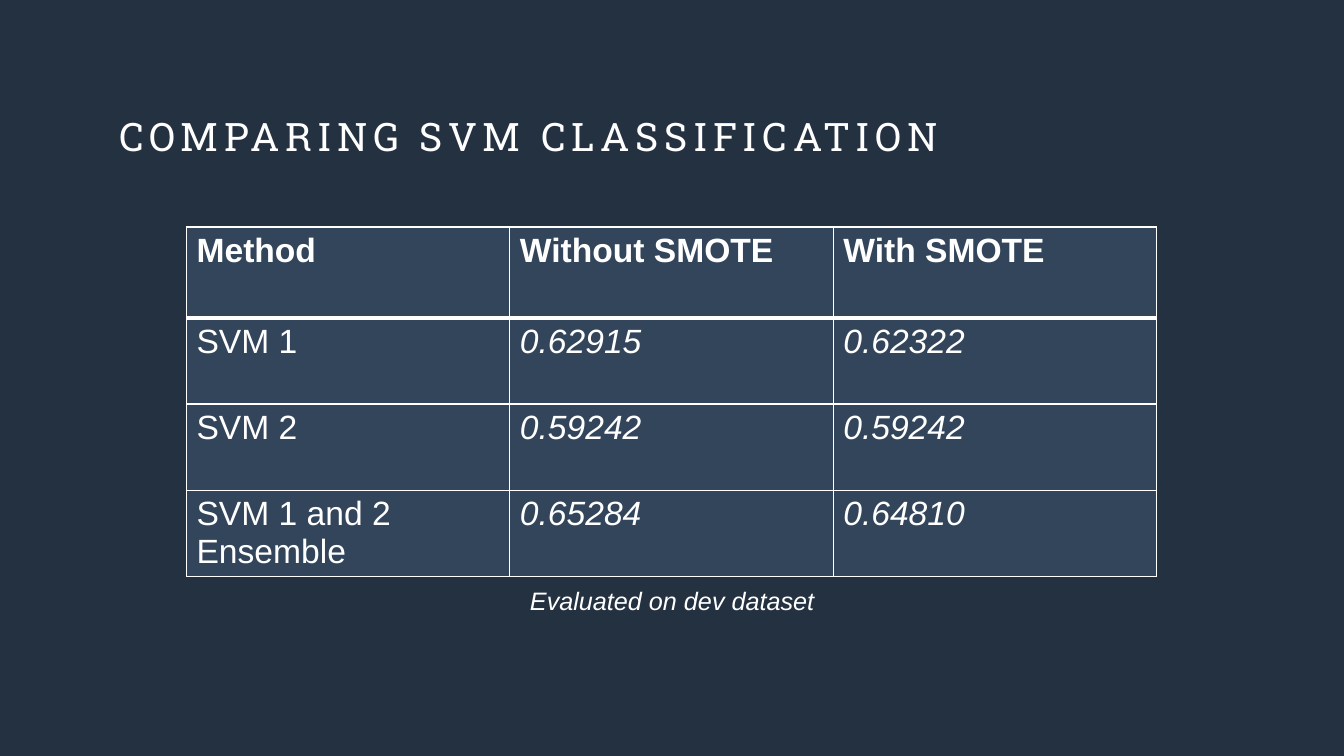
from dataclasses import dataclass

from lxml import etree
from pptx import Presentation
from pptx import util as u
from pptx.dml.color import RGBColor
from pptx.enum import text
from pptx.oxml import ns

BACKGROUND = "243141"
CELL_FILL = "33455B"
WHITE = "FFFFFF"
THIN, THICK = u.Pt(1), u.Pt(3)

ROWS = [
    ("Method", "Without SMOTE", "With SMOTE"),
    ("SVM 1", "0.62915", "0.62322"),
    ("SVM 2", "0.59242", "0.59242"),
    ("SVM 1 and 2 Ensemble", "0.65284", "0.64810"),
]
COLUMN_WIDTH = u.Cm(8.15)
HEADER_HEIGHT, BODY_HEIGHT = u.Cm(2.29), u.Cm(2.17)


@dataclass(frozen=True)
class Style:
    font: str
    size: int
    bold: bool = False
    italic: bool = False
    spacing: int = 0  # hundredths of a point
    align: text.PP_ALIGN = text.PP_ALIGN.LEFT


@dataclass(frozen=True)
class Label:
    words: str
    left: float
    top: float
    width: float
    height: float
    style: Style
    inset: bool = True


LABELS = [
    Label("COMPARING SVM CLASSIFICATION", 3, 2.82, 27.86, 1.83,
          Style("Roboto Slab", 28, spacing=400), inset=False),
    Label("Evaluated on dev dataset", 7.29, 14.63, 19.3, 1.02,
          Style("Arial", 18, italic=True, align=text.PP_ALIGN.CENTER)),
]


def color(value: str) -> RGBColor:
    return RGBColor.from_string(value)


def write(frame, words: str, style: Style) -> None:
    paragraph = frame.paragraphs[0]
    run = paragraph.add_run()
    run.text = words
    paragraph.alignment = style.align
    font = paragraph.font
    font.name, font.size = style.font, u.Pt(style.size)
    font.bold, font.italic = style.bold, style.italic
    font.color.rgb = color(WHITE)
    if style.spacing:
        run.font._element.set("spc", str(style.spacing))


def add_label(slide, label: Label) -> None:
    box = slide.shapes.add_textbox(
        u.Cm(label.left), u.Cm(label.top), u.Cm(label.width), u.Cm(label.height))
    frame = box.text_frame
    frame.word_wrap = True
    if not label.inset:
        frame.margin_left = frame.margin_right = 0
        frame.margin_top = frame.margin_bottom = 0
    write(frame, label.words, label.style)


def add_border(cell, side: str, width: int) -> None:
    properties = cell._tc.get_or_add_tcPr()
    line = etree.SubElement(properties, ns.qn(f"a:ln{side}"), w=str(width))
    fill = etree.SubElement(line, ns.qn("a:solidFill"))
    etree.SubElement(fill, ns.qn("a:srgbClr"), val=WHITE)


def add_score_table(slide) -> None:
    columns = len(ROWS[0])
    height = HEADER_HEIGHT + BODY_HEIGHT * (len(ROWS) - 1)
    table = slide.shapes.add_table(
        len(ROWS), columns, u.Cm(4.7), u.Cm(5.72), COLUMN_WIDTH * columns, height).table
    for column in table.columns:
        column.width = COLUMN_WIDTH
    for row_index, words in enumerate(ROWS):
        header = row_index == 0
        table.rows[row_index].height = HEADER_HEIGHT if header else BODY_HEIGHT
        borders = {"L": THIN, "R": THIN,
                   "T": THICK if row_index == 1 else THIN,
                   "B": THICK if header else THIN}
        for column_index, value in enumerate(words):
            cell = table.cell(row_index, column_index)
            for side, width in borders.items():
                add_border(cell, side, width)
            cell.fill.solid()
            cell.fill.fore_color.rgb = color(CELL_FILL)
            score = not header and column_index > 0
            write(cell.text_frame, value, Style("Arial", 24, bold=header, italic=score))


def main() -> None:
    presentation = Presentation()
    presentation.slide_width, presentation.slide_height = u.Cm(33.87), u.Cm(19.05)
    slide = presentation.slides.add_slide(presentation.slide_layouts[6])
    slide.background.fill.solid()
    slide.background.fill.fore_color.rgb = color(BACKGROUND)
    add_score_table(slide)
    for label in LABELS:
        add_label(slide, label)
    presentation.save("out.pptx")


if __name__ == "__main__":
    main()
